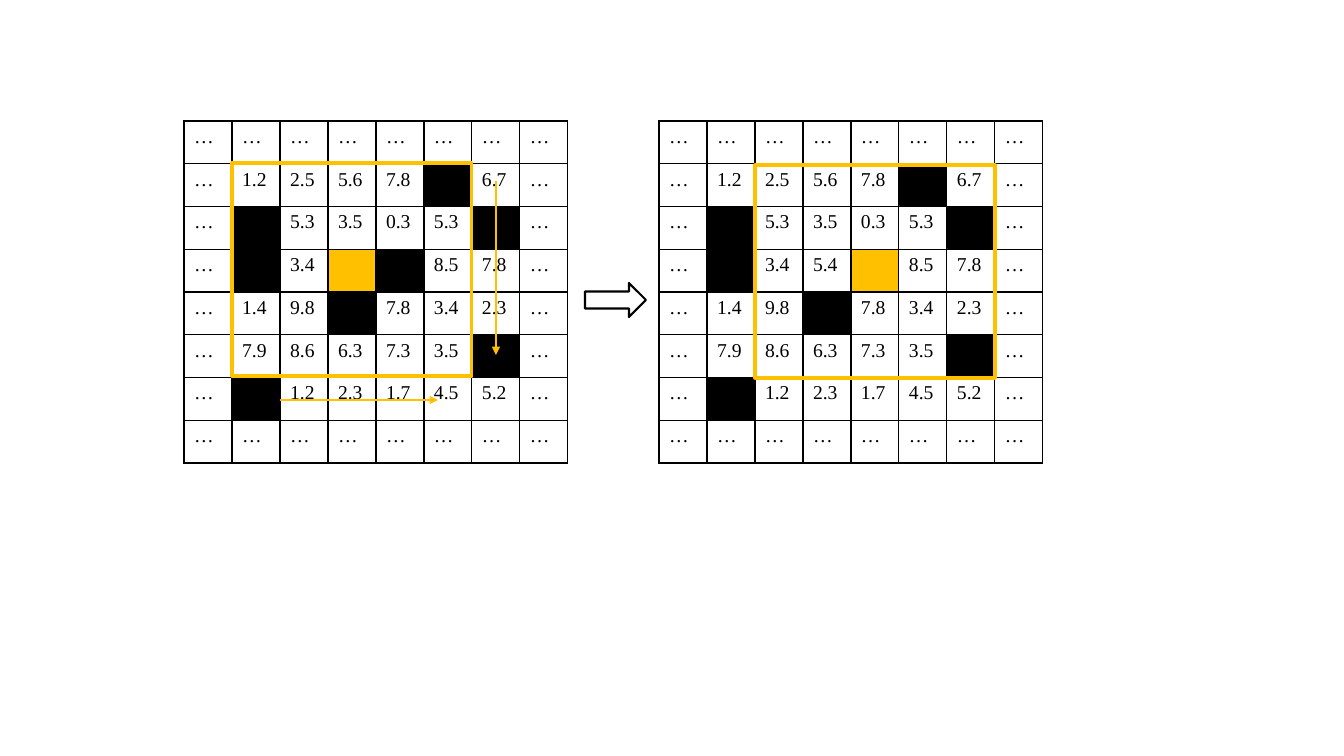
from lxml import etree
from pptx import Presentation
from pptx.dml.color import RGBColor
from pptx.enum.shapes import MSO_CONNECTOR, MSO_SHAPE
from pptx.oxml.ns import qn
from pptx.util import Emu, Pt

RECTANGLE = MSO_SHAPE.RECTANGLE
RIGHT_ARROW = MSO_SHAPE.RIGHT_ARROW
STRAIGHT = MSO_CONNECTOR.STRAIGHT

BLACK = RGBColor(0x00, 0x00, 0x00)
AMBER = RGBColor(0xFF, 0xC0, 0x00)

EMU_PER_PX = 914400 / 100.8
GRID_TOP = 121
GRID_SIZE = 8
CELL_WIDTH = 48
GRID_HEIGHT = 342
WINDOW_WIDTH, WINDOW_HEIGHT = 240, 213

MISSING, TARGET = "#", "*"
VALUES = """
… … … … … … … …
… 1.2 2.5 5.6 7.8 # 6.7 …
… # 5.3 3.5 0.3 5.3 # …
… # 3.4 {} {} 8.5 7.8 …
… 1.4 9.8 # 7.8 3.4 2.3 …
… 7.9 8.6 6.3 7.3 3.5 # …
… # 1.2 2.3 1.7 4.5 5.2 …
… … … … … … … …
"""


def px(length):
    return Emu(round(length * EMU_PER_PX))


def grid_values(*window_centre):
    """Fill in the two cells that differ between the steps and split into rows."""
    return [row.split() for row in VALUES.format(*window_centre).strip().splitlines()]


class SlideBuilder:
    font_name = "Times New Roman"
    font_size = Pt(14)

    def __init__(self, slide):
        self.slide = slide

    def shape(self, kind, left, top, width, height, line, line_width, fill=None):
        shape = self.slide.shapes.add_shape(kind, px(left), px(top), px(width), px(height))
        shape.shadow.inherit = False
        if fill is None:
            shape.fill.background()
        else:
            shape.fill.solid()
            shape.fill.fore_color.rgb = fill
        shape.line.color.rgb = line
        shape.line.width = Pt(line_width)

    def arrow(self, start, end, line_width):
        connector = self.slide.shapes.add_connector(
            STRAIGHT, *(px(length) for length in (*start, *end)))
        connector.line.color.rgb = AMBER
        connector.line.width = Pt(line_width)
        properties = connector._element.spPr
        line = properties.find(qn("a:ln"))
        etree.SubElement(line, qn("a:tailEnd"), type="triangle")
        etree.SubElement(properties, qn("a:effectLst"))

    def blocks(self, left, rows, mark, color):
        """Cover every cell that carries the mark with a coloured block."""
        row_height = GRID_HEIGHT / GRID_SIZE
        for row_index, row in enumerate(rows):
            for column_index, value in enumerate(row):
                if value == mark:
                    self.shape(RECTANGLE, left + column_index * CELL_WIDTH + 1,
                               GRID_TOP + row_index * row_height + 1,
                               CELL_WIDTH - 2, row_height - 2, color, 1, color)

    def table(self, left, rows):
        frame = self.slide.shapes.add_table(
            GRID_SIZE, GRID_SIZE, px(left), px(GRID_TOP),
            px(GRID_SIZE * CELL_WIDTH), px(GRID_HEIGHT))
        table = frame.table
        table.first_row = False
        table.horz_banding = False
        for row_index, row in enumerate(rows):
            for column_index, value in enumerate(row):
                self.format_cell(table.cell(row_index, column_index), value)

    def format_cell(self, cell, value):
        cell.text_frame.text = "" if value in (MISSING, TARGET) else value
        font = cell.text_frame.paragraphs[0].font
        for run in cell.text_frame.paragraphs[0].runs:
            font = run.font
        font.name = self.font_name
        font.size = self.font_size
        font.color.rgb = BLACK
        properties = cell._tc.get_or_add_tcPr()
        for side in ("a:lnL", "a:lnR", "a:lnT", "a:lnB"):
            border = etree.SubElement(properties, qn(side), w=str(Pt(1)))
            fill = etree.SubElement(border, qn("a:solidFill"))
            etree.SubElement(fill, qn("a:srgbClr"), val=str(BLACK))
        cell.fill.background()

    def window(self, left, top):
        self.shape(RECTANGLE, left, top, WINDOW_WIDTH, WINDOW_HEIGHT, AMBER, 2.25)


def main():
    presentation = Presentation()
    presentation.slide_width = px(1344)
    presentation.slide_height = px(756)
    builder = SlideBuilder(presentation.slides.add_slide(presentation.slide_layouts[6]))

    grids = [(184, grid_values(TARGET, MISSING)), (659, grid_values("5.4", TARGET))]
    for left, rows in grids:
        builder.blocks(left, rows, TARGET, AMBER)
        builder.table(left, rows)
    builder.arrow((265, 400), (438, 400), 1.5)
    for left, rows in grids:
        builder.blocks(left, rows, MISSING, BLACK)
    builder.arrow((496, 181), (496, 355), 1)

    builder.window(755, 165)
    builder.shape(RIGHT_ARROW, 585, 283, 61, 34, BLACK, 1.5)
    builder.window(232, 163)
    presentation.save("out.pptx")


if __name__ == "__main__":
    main()
